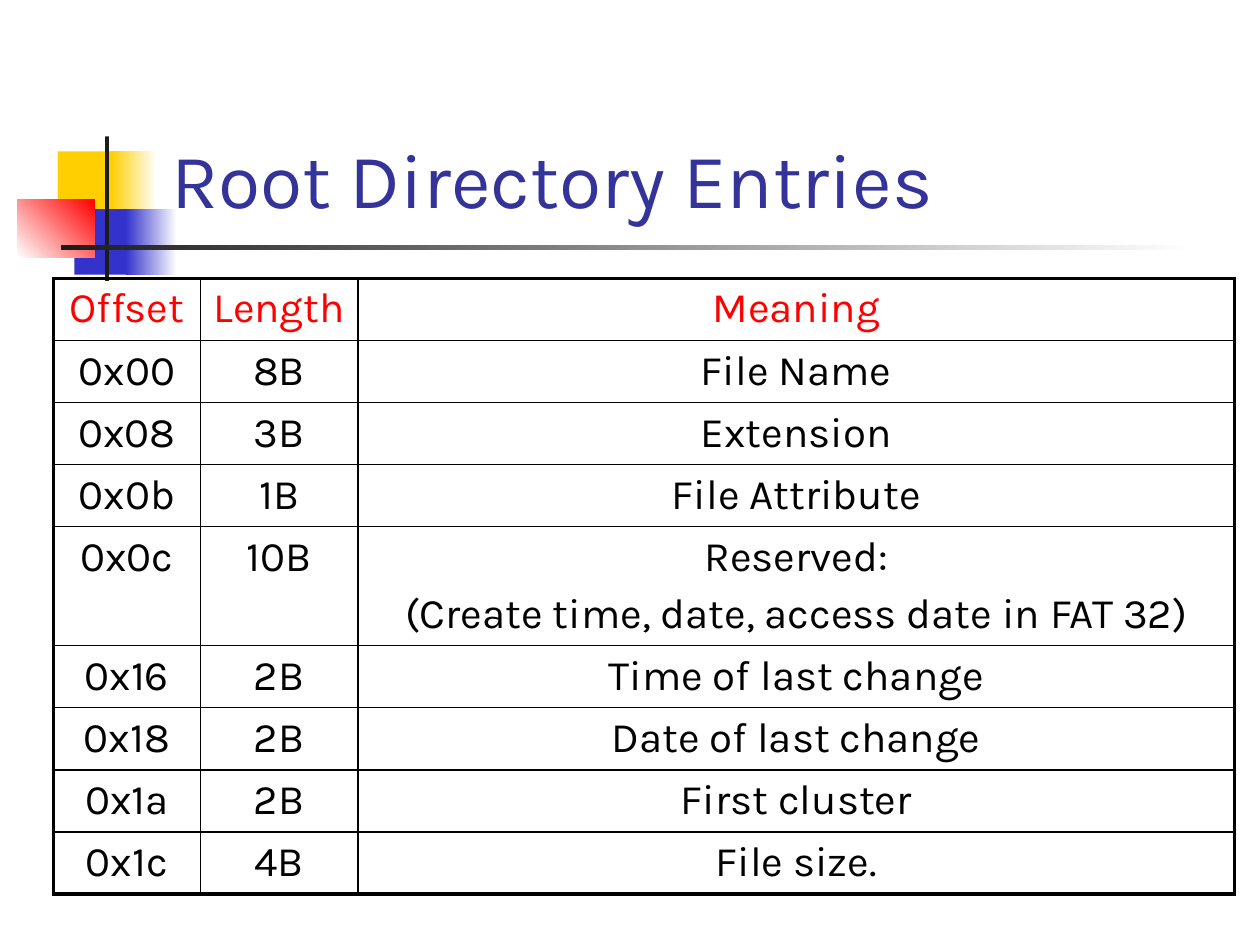
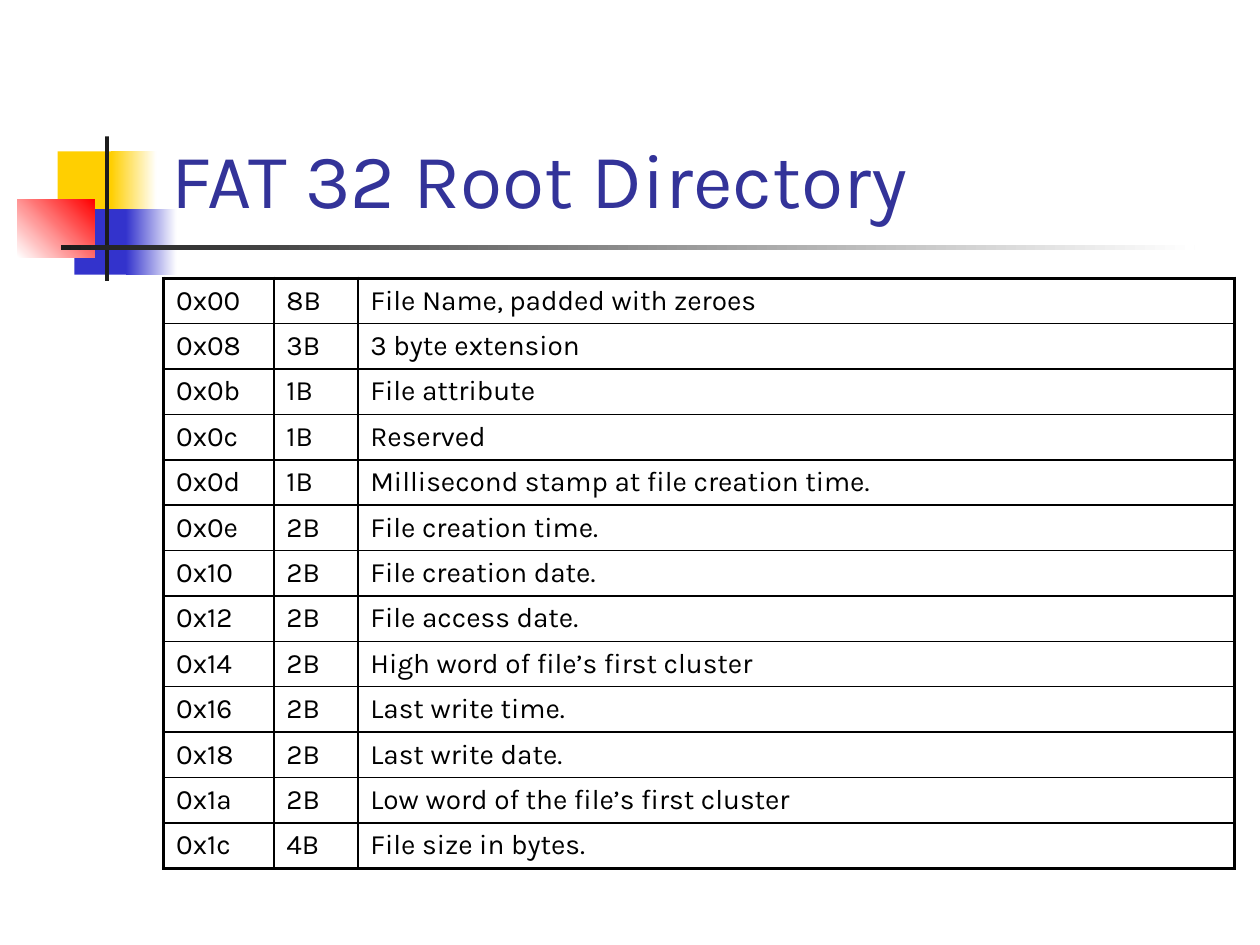
from dataclasses import dataclass

from lxml import etree
from pptx import Presentation
from pptx.dml.color import RGBColor
from pptx.enum.shapes import MSO_SHAPE
from pptx.enum.text import MSO_ANCHOR, MSO_AUTO_SIZE, PP_ALIGN
from pptx.oxml.ns import qn
from pptx.slide import Slide, SlideLayout
from pptx.table import _Cell
from pptx.text.text import TextFrame
from pptx.util import Pt

RECTANGLE = MSO_SHAPE.RECTANGLE
ANCHOR_BOTTOM = MSO_ANCHOR.BOTTOM
NO_AUTOFIT = MSO_AUTO_SIZE.NONE
LEFT, CENTER = PP_ALIGN.LEFT, PP_ALIGN.CENTER

WHITE = RGBColor(0xFF, 0xFF, 0xFF)
BLACK = RGBColor(0x00, 0x00, 0x00)
CHARCOAL = RGBColor(0x1C, 0x1C, 0x1C)
YELLOW = RGBColor(0xFF, 0xCF, 0x01)
BLUE = RGBColor(0x33, 0x33, 0xCC)
RED = RGBColor(0xFF, 0x00, 0x00)
TITLE_BLUE = RGBColor(0x33, 0x33, 0x99)

FONT = "Karla"
TITLE_ONLY = 5
TABLE_TOP = 159
TABLE_RIGHT = 705.5
MEANING_WIDTH = 501
OUTER_BORDER, INNER_BORDER = 2.25, 1


@dataclass(frozen=True)
class Block:
    """A rectangle of the slide motif; fades to end_color if one is given."""
    left: float
    top: float
    width: float
    height: float
    color: RGBColor
    end_color: RGBColor | None = None
    angle: float = 0


@dataclass(frozen=True)
class EntryTable:
    title: str
    offset_width: float
    length_width: float
    row_height: float
    text_size: float
    alignment: PP_ALIGN
    has_header: bool
    rows: list[tuple[str, str, str]]


MOTIF = [
    Block(33, 86.5, 34.5, 37.5, YELLOW),
    Block(63.5, 86.5, 26, 37.5, YELLOW, WHITE),
    Block(42.5, 119.5, 33, 37.5, BLUE),
    Block(72, 119.5, 29, 37.5, BLUE, WHITE),
    Block(10, 114, 44, 33, WHITE, RED, 45),
    Block(60, 78, 2.3, 82.5, CHARCOAL),
    Block(34.7, 140.2, 648, 2.4, CHARCOAL, WHITE),
]

TABLES = [
    EntryTable("Root Directory Entries", 84, 90, 35.5, 24, CENTER, True, [
        ("Offset", "Length", "Meaning"),
        ("0x00", "8B", "File Name"),
        ("0x08", "3B", "Extension"),
        ("0x0b", "1B", "File Attribute"),
        ("0x0c", "10B",
         "Reserved:\n(Create time, date, access date in FAT 32)"),
        ("0x16", "2B", "Time of last change"),
        ("0x18", "2B", "Date of last change"),
        ("0x1a", "2B", "First cluster"),
        ("0x1c", "4B", "File size."),
    ]),
    EntryTable("FAT 32 Root Directory", 63, 48, 25.9, 16, LEFT, False, [
        ("0x00", "8B", "File Name, padded with zeroes"),
        ("0x08", "3B", "3 byte extension"),
        ("0x0b", "1B", "File attribute"),
        ("0x0c", "1B", "Reserved"),
        ("0x0d", "1B", "Millisecond stamp at file creation time."),
        ("0x0e", "2B", "File creation time."),
        ("0x10", "2B", "File creation date."),
        ("0x12", "2B", "File access date."),
        ("0x14", "2B", "High word of file’s first cluster"),
        ("0x16", "2B", "Last write time."),
        ("0x18", "2B", "Last write date."),
        ("0x1a", "2B", "Low word of the file’s first cluster"),
        ("0x1c", "4B", "File size in bytes."),
    ]),
]


def format_text(frame: TextFrame, size: float, color: RGBColor,
                alignment: PP_ALIGN, space_before: float = 0) -> None:
    for para in frame.paragraphs:
        para.alignment = alignment
        para.space_before = Pt(space_before)
        for span in para.runs:
            span.font.name = FONT
            span.font.size = Pt(size)
            span.font.color.rgb = color


def add_motif(slide: Slide, layout: SlideLayout) -> None:
    """Draw the motif on a slide and move it to the layout all slides share."""
    for block in MOTIF:
        box = slide.shapes.add_shape(RECTANGLE, Pt(block.left), Pt(block.top),
                                     Pt(block.width), Pt(block.height))
        box.shadow.inherit = False
        box.line.fill.background()
        if block.end_color is None:
            box.fill.solid()
            box.fill.fore_color.rgb = block.color
        else:
            box.fill.gradient()
            box.fill.gradient_angle = block.angle
            start, end = box.fill.gradient_stops
            start.color.rgb, end.color.rgb = block.color, block.end_color
        layout.shapes.element.append(box.element)


def set_title(slide: Slide, text: str) -> None:
    title = slide.shapes.title
    title.left, title.top = Pt(90.7), Pt(16.5)
    title.width, title.height = Pt(613.5), Pt(115.2)
    frame = title.text_frame
    frame.text = text
    frame.auto_size = NO_AUTOFIT
    frame.vertical_anchor = ANCHOR_BOTTOM
    format_text(frame, 44, TITLE_BLUE, LEFT)


def set_borders(cell: _Cell, widths: dict[str, float]) -> None:
    properties = cell._tc.get_or_add_tcPr()
    for side, width in widths.items():
        line = etree.SubElement(properties, qn(f"a:ln{side}"), w=str(Pt(width)))
        fill = etree.SubElement(line, qn("a:solidFill"))
        etree.SubElement(fill, qn("a:srgbClr"), val=str(BLACK))


def add_entry_table(slide: Slide, entries: EntryTable) -> None:
    widths = [entries.offset_width, entries.length_width, MEANING_WIDTH]
    row_count, column_count = len(entries.rows), len(widths)
    table = slide.shapes.add_table(
        row_count, column_count, Pt(TABLE_RIGHT - sum(widths)), Pt(TABLE_TOP),
        Pt(sum(widths)), Pt(entries.row_height * row_count)).table
    table.first_row = entries.has_header
    table.horz_banding = False
    for column, width in zip(table.columns, widths):
        column.width = Pt(width)

    for r, values in enumerate(entries.rows):
        lines = max(value.count("\n") + 1 for value in values)
        extra_line = 1.35 * entries.text_size
        table.rows[r].height = Pt(entries.row_height + (lines - 1) * extra_line)
        color = RED if entries.has_header and r == 0 else BLACK
        for c, value in enumerate(values):
            cell = table.cell(r, c)
            cell.text_frame.text = value
            format_text(cell.text_frame, entries.text_size, color,
                        entries.alignment, 0.2 * entries.text_size)
            for para in cell.text_frame.paragraphs:
                para.font.bold = False
            outer_sides = {"L": c == 0, "R": c == column_count - 1,
                           "T": r == 0, "B": r == row_count - 1}
            set_borders(cell, {
                side: OUTER_BORDER if is_outer else INNER_BORDER
                for side, is_outer in outer_sides.items()})
            cell.fill.background()
            for para in cell.text_frame.paragraphs:
                for span in para.runs:
                    span.font.bold = False


def main() -> None:
    deck = Presentation()
    deck.slide_width, deck.slide_height = Pt(720), Pt(540)
    layout = deck.slide_layouts[TITLE_ONLY]
    for index, entries in enumerate(TABLES):
        slide = deck.slides.add_slide(layout)
        if index == 0:
            add_motif(slide, layout)
        set_title(slide, entries.title)
        add_entry_table(slide, entries)
    deck.save("out.pptx")


if __name__ == "__main__":
    main()
